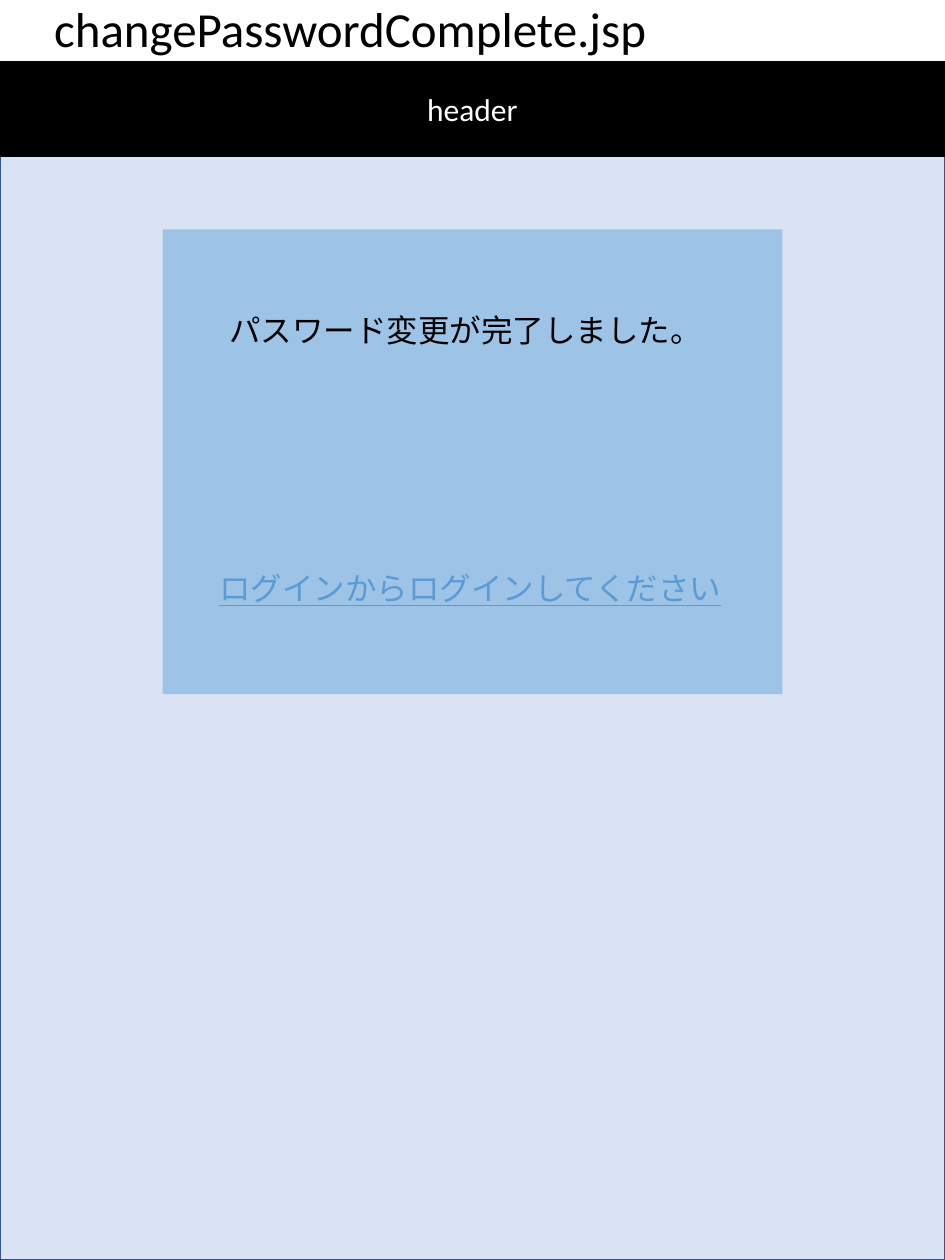
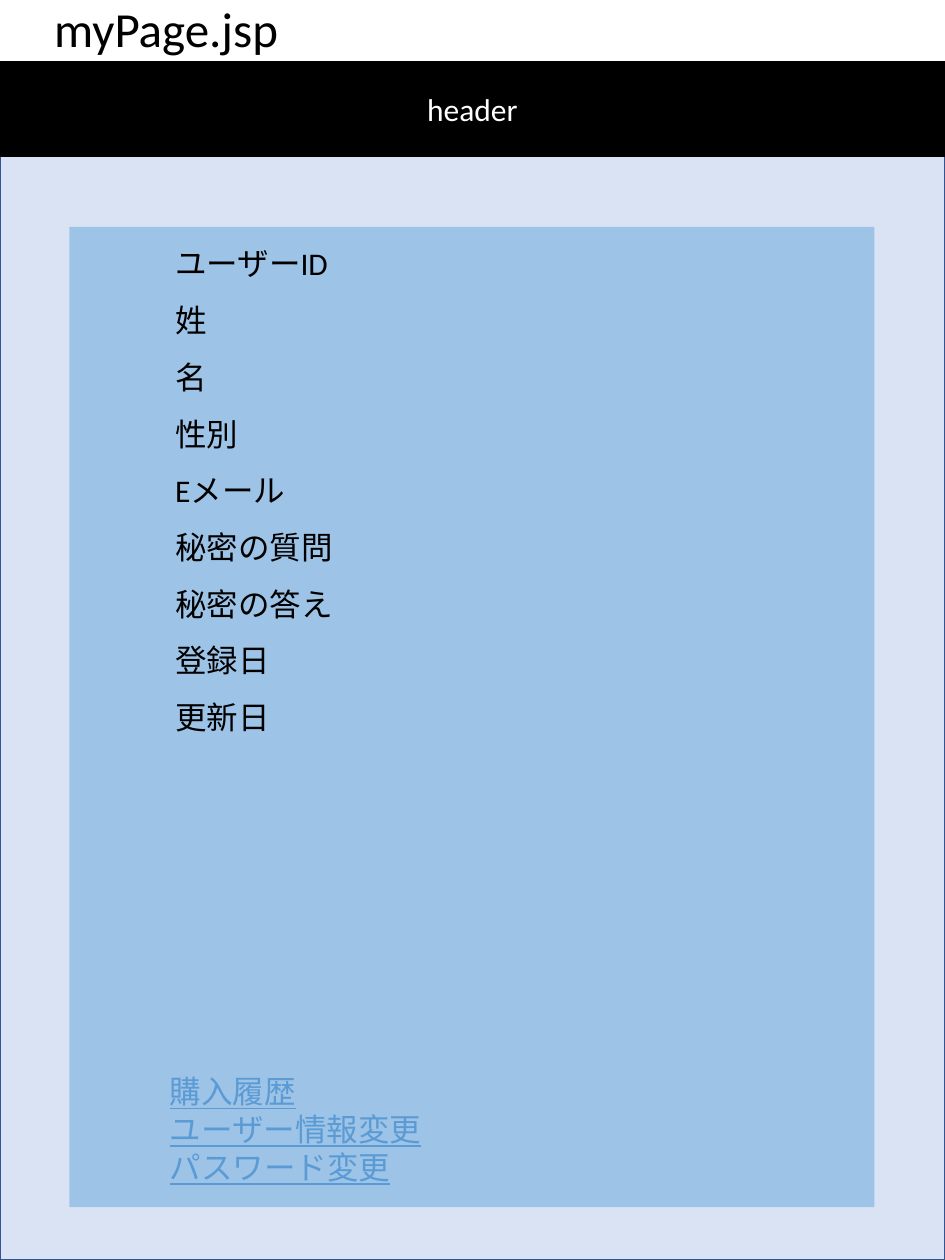
from lxml.etree import SubElement
from pptx import Presentation
from pptx.dml.color import RGBColor
from pptx.enum.shapes import MSO_SHAPE
from pptx.enum.text import MSO_ANCHOR, MSO_AUTO_SIZE, PP_ALIGN
from pptx.oxml.ns import qn
from pptx.util import Inches, Pt

# Shared look
FONT = "Calibri"
BLACK, WHITE = "000000", "FFFFFF"
PAGE, PAGE_EDGE = "DAE3F3", "325491"
PANEL, LINK = "9DC3E6", "5B9BD5"
WIDTH, HEIGHT = 7.5, 10


def color(value):
    return RGBColor.from_string(value)


def place(sp, left, top, width, height):
    sp.left, sp.top = Inches(left), Inches(top)
    sp.width, sp.height = Inches(width), Inches(height)


def add_box(s, box, fill, line=None):
    sp = s.shapes.add_shape(MSO_SHAPE.RECTANGLE, *map(Inches, box))
    sp.shadow.inherit = False
    sp.fill.solid()
    sp.fill.fore_color.rgb = color(fill)
    if line:
        sp.line.color.rgb = color(line)
        sp.line.width = Pt(1)
    else:
        sp.line.fill.background()
    return sp


def write(sp, lines, size=18, ink=BLACK, align=PP_ALIGN.LEFT,
          anchor=MSO_ANCHOR.TOP, spacing=1.0, underline=False):
    tf = sp.text_frame
    tf.text = "\n".join(lines)
    tf.word_wrap = True
    tf.auto_size = MSO_AUTO_SIZE.NONE
    tf.vertical_anchor = anchor
    for p in tf.paragraphs:
        p.alignment = align
        p.line_spacing = spacing
        p.space_before = Pt(0)
        for r in p.runs:
            r.font.name = FONT
            r.font.size = Pt(size)
            r.font.color.rgb = color(ink)
            r.font.underline = underline


def add_text(s, box, lines, **style):
    write(s.shapes.add_textbox(*map(Inches, box)), lines, **style)


def add_links(s, box, lines):
    add_text(s, box, lines, ink=LINK, underline=True)


def add_field_list(s, box, fields):
    """Fill the body placeholder with plain, unbulleted lines."""
    sp = s.placeholders[1]
    place(sp, *box)
    write(sp, fields, spacing=1.5)
    for p in sp.text_frame.paragraphs:
        pPr = p._p.get_or_add_pPr()
        pPr.set("marL", "0")
        pPr.set("indent", "0")
        SubElement(pPr, qn("a:buNone"))
    s.shapes._spTree.append(sp._element)  # bring in front of the panel


def add_page(prs, layout, title, panel):
    """Page background, panel, header band and file name."""
    s = prs.slides.add_slide(prs.slide_layouts[layout])
    add_box(s, (0, 0.73, WIDTH, HEIGHT - 0.73), PAGE, PAGE_EDGE)
    add_box(s, panel, PANEL)
    header = add_box(s, (0, 0.49, WIDTH, 0.75), BLACK, BLACK)
    write(header, ["header"], ink=WHITE, align=PP_ALIGN.CENTER,
          anchor=MSO_ANCHOR.MIDDLE)
    place(s.shapes.title, 0.33, -0.06, 6.73, 0.57)
    write(s.shapes.title, [title], size=28)
    return s


def password_complete_slide(prs):
    left, top, width, height = panel = (1.29, 1.82, 4.92, 3.69)
    s = add_page(prs, 5, "changePasswordComplete.jsp", panel)
    add_text(s, (0.33, top + 0.6, 6.73, 0.71),
             ["パスワード変更が完了しました。"], align=PP_ALIGN.CENTER)
    add_links(s, (left + 0.35, top + 2.65, 5.06, 0.4),
              ["ログインからログインしてください"])


def my_page_slide(prs):
    left, top, width, height = panel = (0.55, 1.8, 6.39, 7.78)
    s = add_page(prs, 1, "myPage.jsp", panel)
    add_field_list(s, (left + 0.74, top - 0.06, 4.92, 5.51),
                   ["ユーザーID", "姓", "名", "性別", "Eメール",
                    "秘密の質問", "秘密の答え", "登録日", "更新日"])
    add_links(s, (left + 0.7, top + 6.66, 5.06, 1.01),
              ["購入履歴", "ユーザー情報変更", "パスワード変更"])


def main():
    prs = Presentation()
    prs.slide_width, prs.slide_height = Inches(WIDTH), Inches(HEIGHT)
    password_complete_slide(prs)
    my_page_slide(prs)
    prs.save("out.pptx")


if __name__ == "__main__":
    main()
